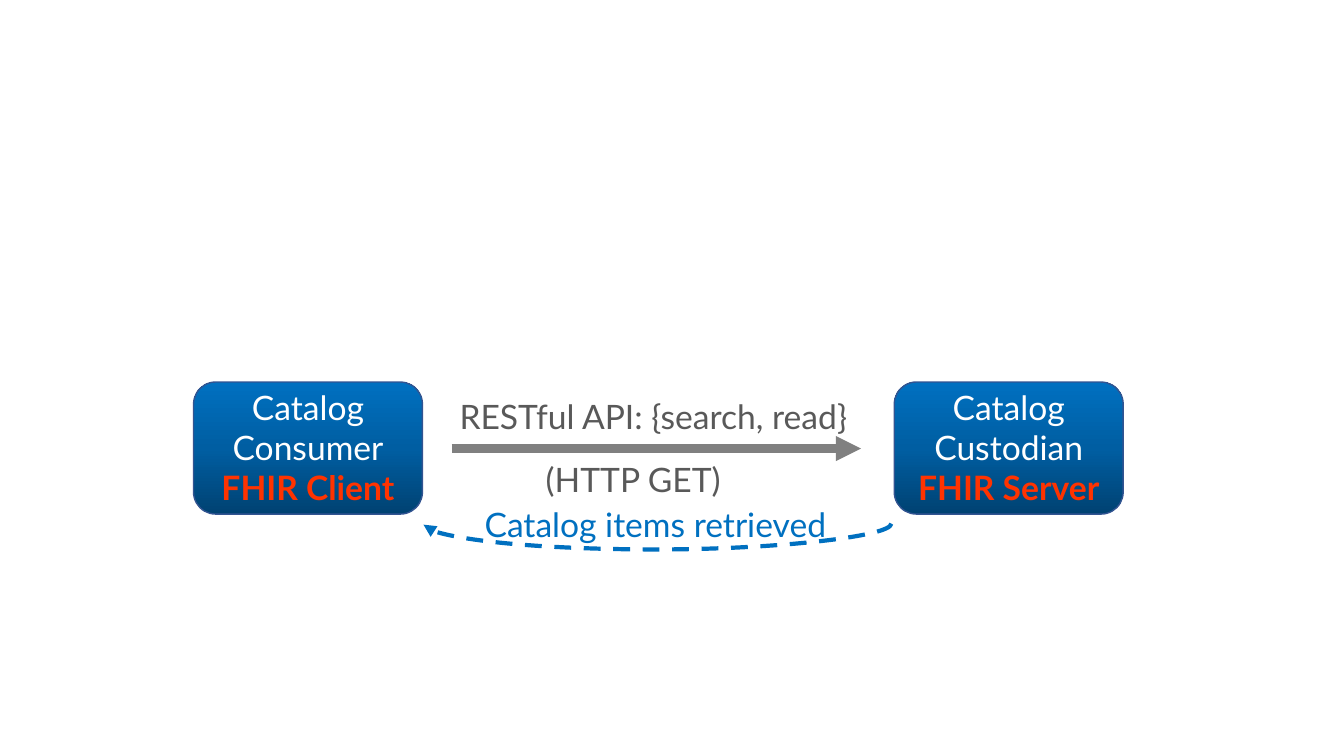
from copy import deepcopy
from dataclasses import dataclass

from lxml.etree import SubElement
from pptx import Presentation
from pptx.dml.color import RGBColor
from pptx.enum.dml import MSO_LINE
from pptx.enum.shapes import MSO_CONNECTOR, MSO_SHAPE
from pptx.enum.text import MSO_ANCHOR, PP_ALIGN
from pptx.oxml.ns import qn
from pptx.util import Inches, Pt


@dataclass(frozen=True)
class Theme:
    font: str = "Lato"
    size: int = 24
    white: str = "FFFFFF"
    red: str = "FF3300"
    gray: str = "595959"
    arrow: str = "808080"
    blue: str = "0070C0"
    border: str = "325491"
    gradient: tuple = ((0, "004272"), (0.5, "005EA2"), (1, "0070C0"))


THEME = Theme()


def rgb(code):
    return RGBColor.from_string(code)


def write(s, text, color, bold=False, anchor=MSO_ANCHOR.TOP, bottom=0.05):
    tf = s.text_frame
    tf.word_wrap = True
    tf.vertical_anchor = anchor
    tf.margin_bottom = Inches(bottom)
    p = tf.paragraphs[0]
    p.alignment = PP_ALIGN.CENTER
    r = p.add_run()
    r.text = text
    r.font.name = THEME.font
    r.font.size = Pt(THEME.size)
    r.font.bold = bold
    r.font.color.rgb = rgb(color)


def add_label(slide, box, text, color):
    write(slide.shapes.add_textbox(*map(Inches, box)), text, color)


def fill_gradient(fill):
    fill.gradient()
    fill.gradient_angle = 90
    first = fill.gradient_stops[0]._gs
    first.addnext(deepcopy(first))
    for stop, (position, color) in zip(fill.gradient_stops, THEME.gradient):
        stop.position = position
        stop.color.rgb = rgb(color)


def add_system(slide, box, name, role):
    """Rounded box with the system's name above its role."""
    x, y, w, h = box
    s = slide.shapes.add_shape(MSO_SHAPE.ROUNDED_RECTANGLE, *map(Inches, box))
    s.shadow.inherit = False
    fill_gradient(s.fill)
    s.line.color.rgb = rgb(THEME.border)
    s.line.width = Pt(1)
    write(s, role, THEME.red, bold=True, anchor=MSO_ANCHOR.BOTTOM, bottom=0)
    add_label(slide, (x + 0.15, y, w - 0.3, 0.91), name, THEME.white)


def add_arrow(slide, kind, start, end, color, width):
    c = slide.shapes.add_connector(kind, *map(Inches, start + end))
    c.line.color.rgb = rgb(color)
    c.line.width = Pt(width)
    SubElement(c.line._get_or_add_ln(), qn("a:tailEnd"), type="triangle")
    SubElement(c._element.spPr, qn("a:effectLst"))
    return c


def add_request(slide, box):
    """Straight arrow with the call above and its method below."""
    x, y, w, h = box
    axis = y + 0.57
    add_arrow(slide, MSO_CONNECTOR.STRAIGHT, (x + 0.38, axis),
              (x + w - 0.32, axis), THEME.arrow, 6)
    add_label(slide, (x, y, w, 0.5), "RESTful API: {search, read}", THEME.gray)
    add_label(slide, (x + 0.19, y + h - 0.5, 3.98, 0.5), "(HTTP GET)", THEME.gray)


def add_response(slide, box):
    """Dashed arc sagging from the right end of the box to the left."""
    x, y, w, h = box
    thickness, sag = 0.01, 0.26
    # The connector is drawn upright, then turned a quarter about its centre
    left, top = x + w / 2 - thickness / 2, y + 0.25 - w / 2
    c = add_arrow(slide, MSO_CONNECTOR.CURVE, (left, top),
                  (left + thickness, top + w), THEME.blue, 3)
    c.line.dash_style = MSO_LINE.DASH
    sp_pr = c._element.spPr
    sp_pr.find(qn("a:xfrm")).set("rot", str(90 * 60000))
    guides = sp_pr.find(qn("a:prstGeom")).get_or_add_avLst()
    SubElement(guides, qn("a:gd"), name="adj1",
               fmla=f"val {round(sag / thickness * 100000)}")
    add_label(slide, (x + 0.09, y, 4.42, h), "Catalog items retrieved", THEME.blue)


def main():
    prs = Presentation()
    prs.slide_width, prs.slide_height = Inches(13.33), Inches(7.5)
    slide = prs.slides.add_slide(prs.slide_layouts[6])

    # Client and server
    add_system(slide, (1.92, 3.79, 2.27, 1.31), "Catalog Consumer", "FHIR Client")
    add_system(slide, (8.87, 3.79, 2.27, 1.31), "Catalog Custodian", "FHIR Server")

    # Exchange between them
    add_request(slide, (4.1, 3.88, 4.76, 1.12))
    add_response(slide, (4.2, 4.95, 4.64, 0.5))

    prs.save("out.pptx")


if __name__ == "__main__":
    main()
